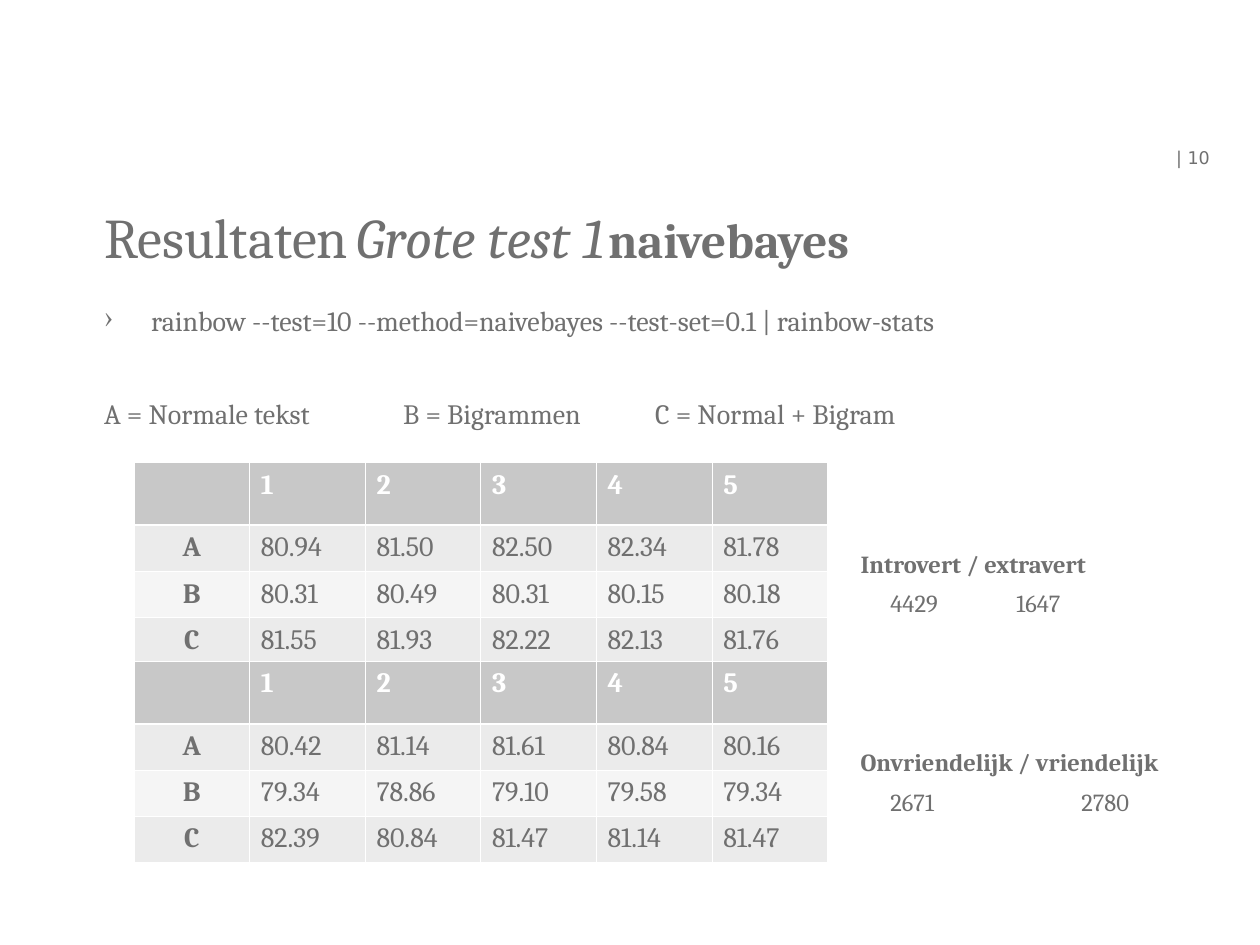
from dataclasses import dataclass

from lxml.etree import SubElement
from pptx import Presentation
from pptx.dml.color import RGBColor
from pptx.enum.text import MSO_ANCHOR, PP_ALIGN
from pptx.oxml.ns import qn
from pptx.util import Cm, Pt


@dataclass(frozen=True)
class Theme:
    serif: str = "Cambria"
    sans: str = "DejaVu Sans"
    ink: str = "707070"
    white: str = "FFFFFF"
    header: str = "C8C8C8"
    bands: tuple = ("EBEBEB", "F5F5F5")
    title: int = 32
    subtitle: int = 28
    body: int = 16
    note: int = 14
    page: int = 10
    thin: float = 0.45
    thick: float = 1.47


class SlideBuilder:
    def __init__(self, theme, slide):
        self.theme = theme
        self.slide = slide

    def run(self, paragraph, text, color=None, **formats):
        run = paragraph.add_run()
        run.text = text
        settings = {"name": self.theme.serif, "size": self.theme.body, **formats}
        settings["size"] = Pt(settings["size"])
        for attribute, value in settings.items():
            setattr(run.font, attribute, value)
        run.font.color.rgb = RGBColor.from_string(color or self.theme.ink)

    def text(self, box, paragraphs, inset=(0, 0), anchor=MSO_ANCHOR.TOP):
        """Each paragraph is a list of (text, formats) runs."""
        frame = self.slide.shapes.add_textbox(*map(Cm, box)).text_frame
        across, down = map(Cm, inset)
        settings = {
            "word_wrap": True, "vertical_anchor": anchor,
            "margin_left": across, "margin_right": across,
            "margin_top": down, "margin_bottom": down,
        }
        for attribute, value in settings.items():
            setattr(frame, attribute, value)
        for index, runs in enumerate(paragraphs):
            paragraph = frame.add_paragraph() if index else frame.paragraphs[0]
            for text, formats in runs:
                self.run(paragraph, text, **formats)
        return frame.paragraphs

    def hang(self, paragraph, indent, space_before, bullet=None):
        paragraph.space_before = Pt(space_before)
        properties = paragraph._p.get_or_add_pPr()
        properties.set("marL", str(Cm(indent)))
        properties.set("indent", str(-Cm(indent)))
        if bullet:
            SubElement(properties, qn("a:buChar"), char=bullet)

    def tab_stop(self, paragraph, position):
        stops = SubElement(paragraph._p.get_or_add_pPr(), qn("a:tabLst"))
        SubElement(stops, qn("a:tab"), pos=str(Cm(position)), algn="l")

    def borders(self, cell, **widths):
        """Draw the sides in schema order, before the cell's fill is set."""
        properties = cell._tc.get_or_add_tcPr()
        for side in "LRTB":
            width = widths.get(side, self.theme.thin)
            line = SubElement(properties, qn(f"a:ln{side}"), w=str(Pt(width)))
            fill = SubElement(line, qn("a:solidFill"))
            SubElement(fill, qn("a:srgbClr"), val=self.theme.white)

    def table(self, left, top, column_width, header_height, row_height, rows):
        theme = self.theme
        heights = [header_height] + [row_height] * (len(rows) - 1)
        table = self.slide.shapes.add_table(
            len(rows), len(rows[0]), Cm(left), Cm(top),
            Cm(column_width * len(rows[0])), Cm(sum(heights))).table
        for column in table.columns:
            column.width = Cm(column_width)
        for r, values in enumerate(rows):
            table.rows[r].height = Cm(heights[r])
            fill = theme.bands[(r - 1) % 2] if r else theme.header
            rule = {0: {"B": theme.thick}, 1: {"T": theme.thick}}.get(r, {})
            for c, value in enumerate(values):
                cell = table.cell(r, c)
                self.borders(cell, **rule)
                cell.fill.solid()
                cell.fill.fore_color.rgb = RGBColor.from_string(fill)
                cell.margin_left = cell.margin_right = Cm(0.23)
                paragraph = cell.text_frame.paragraphs[0]
                if value:
                    self.run(paragraph, value, bold=r == 0 or c == 0,
                             color=theme.ink if r else theme.white)
                if r and c == 0:
                    paragraph.alignment = PP_ALIGN.CENTER


def main():
    theme = Theme()
    deck = Presentation()
    deck.slide_width, deck.slide_height = Cm(25.4), Cm(19.05)
    page = SlideBuilder(theme, deck.slides.add_slide(deck.slide_layouts[6]))

    # Title
    page.text((2.1, 4.09, 22.05, 1.83), [[
        ("Resultaten\t", {"size": theme.title}),
        ("Grote test 1\t", {"size": theme.title, "italic": True}),
        ("naivebayes", {"size": theme.subtitle, "bold": True}),
    ]])

    # Command and legend
    command, legend = page.text((2.1, 6.12, 22.05, 3), [
        [("rainbow --test=10 --method=naivebayes --test-set=0.1 | rainbow-stats", {})],
        [("A = Normale tekst\t\tB = Bigrammen\t\tC = Normal + Bigram", {})],
    ])
    page.hang(command, 0.95, 4, bullet="›")
    page.hang(legend, 0.95, 34)

    # Page number
    page.text((23.6, 2.8, 1.8, 0.74),
              [[(" | 10", {"name": theme.sans, "size": theme.page})]],
              anchor=MSO_ANCHOR.MIDDLE)

    # Scores with the class sizes beside them: (heading, sizes, tab stop, rows)
    header = ["", "1", "2", "3", "4", "5"]
    tests = [
        ("Introvert / extravert", "4429\t1647", 2.54, [
            ["A", "80.94", "81.50", "82.50", "82.34", "81.78"],
            ["B", "80.31", "80.49", "80.31", "80.15", "80.18"],
            ["C", "81.55", "81.93", "82.22", "82.13", "81.76"]]),
        ("Onvriendelijk / vriendelijk", "2671\t2780", 3.85, [
            ["A", "80.42", "81.14", "81.61", "80.84", "80.16"],
            ["B", "79.34", "78.86", "79.10", "79.58", "79.34"],
            ["C", "82.39", "80.84", "81.47", "81.14", "81.47"]]),
    ]
    inset = (0.25, 0.13)
    for index, (heading, sizes, stop, scores) in enumerate(tests):
        top = 9.33 + 4 * index
        page.table(2.7, top, 2.33, 1.26, 0.9, [header] + scores)
        page.text((17.1, top + 1.6, 8.3, 0.86),
                  [[(heading, {"size": theme.note, "bold": True})]], inset)
        class_sizes, = page.text((17.7, top + 2.4, 7.2, 0.86),
                                 [[(sizes, {"size": theme.note})]], inset)
        page.tab_stop(class_sizes, stop)

    deck.save("out.pptx")


if __name__ == "__main__":
    main()
